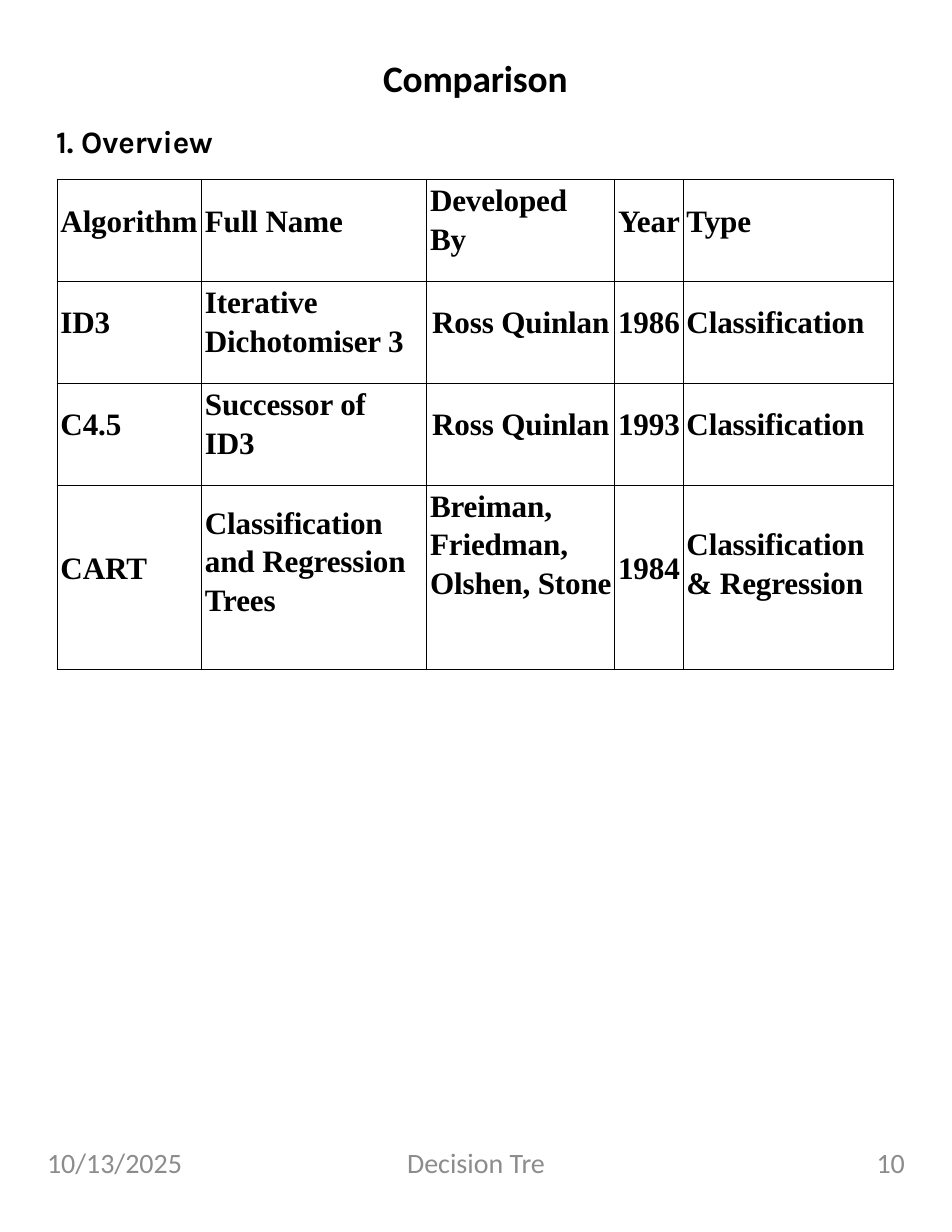
from lxml import etree
from pptx import Presentation
from pptx import util as u
from pptx.dml.color import RGBColor
from pptx.enum import text
from pptx.oxml import ns

BLACK = RGBColor(0x00, 0x00, 0x00)
GRAY = RGBColor(0x8C, 0x8C, 0x8C)
LEFT, CENTER, RIGHT = text.PP_ALIGN.LEFT, text.PP_ALIGN.CENTER, text.PP_ALIGN.RIGHT

COLUMN_WIDTHS = [1.29, 2.01, 1.68, 0.61, 1.88]
ROW_HEIGHTS = [0.91, 0.91, 0.91, 1.65]
ALGORITHMS = [
    ["Algorithm", "Full Name", "Developed\nBy", "Year", "Type"],
    ["ID3", "Iterative\nDichotomiser 3", "Ross Quinlan", "1986", "Classification"],
    ["C4.5", "Successor of\nID3", "Ross Quinlan", "1993", "Classification"],
    ["CART", "Classification and Regression Trees",
     "Breiman,\nFriedman, Olshen, Stone", "1984", "Classification & Regression"],
]
CART_INSETS = [0.56, 0.16, 0.01, 0.56, 0.35]


def write(paragraph, words, font="Calibri", size=18, color=BLACK, bold=False,
          align=LEFT, tracking=0, indent=0, before=0, spacing=None):
    """Fill a paragraph with one formatted run."""
    properties = paragraph._p.get_or_add_pPr()
    properties.set("marL", str(u.Inches(indent)))
    properties.set("indent", "0")
    paragraph.alignment = align
    paragraph.space_before = u.Pt(before)
    if spacing:
        paragraph.line_spacing = spacing
    run = paragraph.add_run()
    run.text = words
    run.font.name = font
    run.font.size = u.Pt(size)
    run.font.bold = bold
    run.font.color.rgb = color
    run._r.get_or_add_rPr().set("spc", str(round(tracking * 100)))


def set_frame(frame, top=0):
    """Make a wrapping, top-anchored frame with no side margins."""
    frame.word_wrap = True
    frame.auto_size = text.MSO_AUTO_SIZE.NONE
    frame.vertical_anchor = text.MSO_ANCHOR.TOP
    frame.margin_left = frame.margin_right = frame.margin_bottom = 0
    frame.margin_top = u.Inches(top)


def add_heading(slide):
    """Place the title and the section heading in the title placeholder."""
    heading = slide.shapes.title
    heading.left, heading.top = u.Inches(0.49), u.Inches(0.47)
    heading.width, heading.height = u.Inches(4.61), u.Inches(0.96)
    frame = heading.text_frame
    set_frame(frame, top=0.02)
    write(frame.paragraphs[0], "Comparison", size=24, bold=True,
          tracking=-0.1, indent=2.93)
    write(frame.add_paragraph(), "1. Overview", font="Karla", size=20, bold=True,
          tracking=-0.1, indent=0.01, before=14.3)


def add_borders(cell):
    """Draw thin black lines on all four sides of a cell."""
    properties = cell._tc.get_or_add_tcPr()
    for side in ("a:lnL", "a:lnR", "a:lnT", "a:lnB"):
        line = etree.SubElement(properties, ns.qn(side), w=str(u.Pt(0.5)))
        fill = etree.SubElement(line, ns.qn("a:solidFill"))
        etree.SubElement(fill, ns.qn("a:srgbClr"), val=str(BLACK))


def fill_cell(cell, words, inset, centered):
    """Write and format one table cell."""
    add_borders(cell)
    cell.fill.background()
    cell.vertical_anchor = text.MSO_ANCHOR.TOP
    cell.margin_left = cell.margin_right = cell.margin_bottom = 0
    cell.margin_top = u.Inches(inset)
    frame = cell.text_frame
    for index, line in enumerate(words.split("\n")):
        paragraph = frame.add_paragraph() if index else frame.paragraphs[0]
        write(paragraph, line, font="Times New Roman", size=20, bold=True,
              align=CENTER if centered else LEFT, tracking=-0.1,
              indent=0 if centered else 0.03, spacing=1.11)


def add_comparison(slide):
    """Build the table of algorithms."""
    table = slide.shapes.add_table(
        len(ROW_HEIGHTS), len(COLUMN_WIDTHS), u.Inches(0.51), u.Inches(1.6),
        u.Inches(sum(COLUMN_WIDTHS)), u.Inches(sum(ROW_HEIGHTS))).table
    table.first_row = table.horz_banding = False
    for column, width in zip(table.columns, COLUMN_WIDTHS):
        column.width = u.Inches(width)
    for row, height, entries in zip(table.rows, ROW_HEIGHTS, ALGORITHMS):
        row.height = u.Inches(height)
        insets = [0.01 if "\n" in words else 0.19 for words in entries]
        if entries[0] == "CART":
            insets = CART_INSETS
        for cell, words, inset in zip(row.cells, entries, insets):
            centered = words in ("Year", "Ross Quinlan") or words.isdigit()
            fill_cell(cell, words, inset, centered)


def add_footer(slide, words, left, width, align):
    """Add one gray footer text."""
    footer = slide.shapes.add_textbox(
        u.Inches(left), u.Inches(10.23), u.Inches(width), u.Inches(0.55))
    set_frame(footer.text_frame)
    write(footer.text_frame.paragraphs[0], words, color=GRAY, align=align)


def main():
    """Build and save the slide."""
    deck = Presentation()
    deck.slide_width, deck.slide_height = u.Inches(8.5), u.Inches(11)
    slide = deck.slides.add_slide(deck.slide_layouts[5])
    add_heading(slide)
    add_comparison(slide)
    add_footer(slide, "10/13/2025", 0.42, 1.96, LEFT)
    add_footer(slide, "Decision Tre", 2.89, 2.72, CENTER)
    add_footer(slide, "10", 6.12, 1.96, RIGHT)
    deck.save("out.pptx")


if __name__ == "__main__":
    main()
